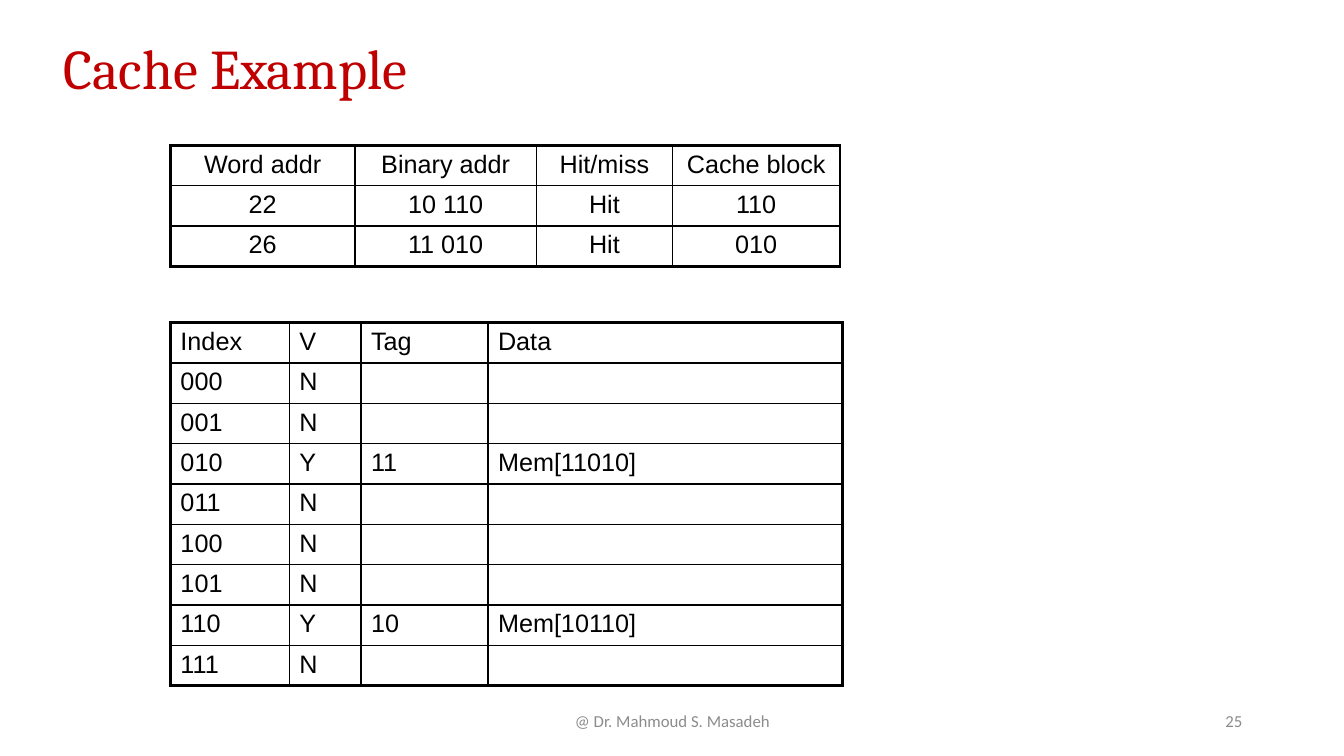
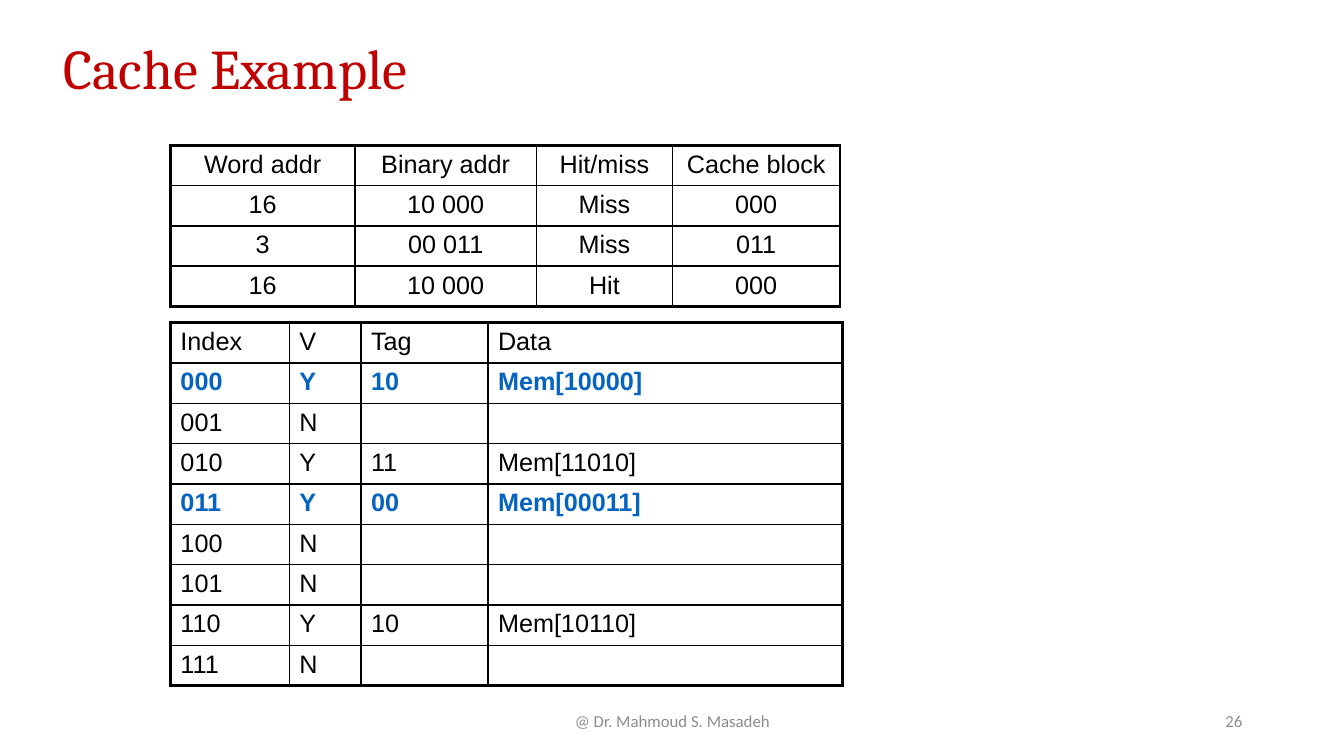
from dataclasses import dataclass

from lxml import etree
from pptx import Presentation
from pptx.dml.color import RGBColor
from pptx.enum.text import MSO_ANCHOR, PP_ALIGN
from pptx.oxml.ns import qn
from pptx.util import Inches, Pt

LEFT, CENTER, RIGHT = PP_ALIGN.LEFT, PP_ALIGN.CENTER, PP_ALIGN.RIGHT
MIDDLE = MSO_ANCHOR.MIDDLE


@dataclass(frozen=True)
class Theme:
    title: str = "C00000"
    footer: str = "8C8C8C"
    ink: str = "000000"
    accent: str = "0563C1"
    outer_pt: float = 2.25
    header_pt: float = 1.5
    inner_pt: float = 1


T = Theme()
TITLE = {"name": "Cambria", "size": Pt(40), "color": T.title}
FOOTER = {"name": "Calibri", "size": Pt(12), "color": T.footer}
BODY = {"name": "Arial", "size": Pt(18), "color": T.ink}
CHANGED = BODY | {"color": T.accent, "bold": True}


@dataclass(frozen=True)
class TableStyle:
    top: float
    widths: tuple[float, ...]
    header: tuple[str, ...]
    align: PP_ALIGN
    rule_pt: float
    left: float = 1.69
    row_height: float = 0.4


TRACE = TableStyle(1.44, (1.83, 1.8, 1.35, 1.66),
                   ("Word addr", "Binary addr", "Hit/miss", "Cache block"),
                   CENTER, T.header_pt)
CACHE = TableStyle(3.2, (1.18, 0.71, 1.26, 3.52),
                   ("Index", "V", "Tag", "Data"), LEFT, T.inner_pt)


@dataclass(frozen=True)
class Step:
    number: int
    accesses: tuple[tuple[int, str], ...]  # word address, result
    tags: dict[str, str]                   # valid blocks: index to tag
    changed: tuple[str, ...] = ()          # indexes filled in this step


START_TAGS = {"010": "11", "110": "10"}
STEPS = (
    Step(25, ((22, "Hit"), (26, "Hit")), START_TAGS),
    Step(26, ((16, "Miss"), (3, "Miss"), (16, "Hit")),
         START_TAGS | {"000": "10", "011": "00"}, ("000", "011")),
)


def write(p, text: str, fmt: dict, align: PP_ALIGN) -> None:
    p.alignment = align
    r = p.add_run()
    r.text = text
    for key, value in fmt.items():
        if key == "color":
            r.font.color.rgb = RGBColor.from_string(value)
        else:
            setattr(r.font, key, value)


def add_text(s, box: tuple[float, ...], text: str, fmt: dict,
             align: PP_ALIGN, spacing: float = 1.0) -> None:
    tf = s.shapes.add_textbox(*map(Inches, box)).text_frame
    tf.word_wrap = True
    tf.vertical_anchor = MIDDLE
    tf.paragraphs[0].line_spacing = spacing
    write(tf.paragraphs[0], text, fmt, align)


def set_borders(cell, widths: dict[str, float]) -> None:
    """Draw the cell's edges; they precede the fill in the cell properties."""
    tc_pr = cell._tc.get_or_add_tcPr()
    for i, (side, width) in enumerate(widths.items()):
        ln = etree.Element(qn(f"a:ln{side}"), w=str(Pt(width)))
        fill = etree.SubElement(ln, qn("a:solidFill"))
        etree.SubElement(fill, qn("a:srgbClr"), val=T.ink)
        tc_pr.insert(i, ln)


def add_grid(s, style: TableStyle, rows: list[tuple[str, ...]],
             changed: tuple[str, ...] = ()) -> None:
    rows = [style.header, *rows]
    n_rows, n_cols = len(rows), len(style.widths)
    box = (style.left, style.top, sum(style.widths), n_rows * style.row_height)
    table = s.shapes.add_table(n_rows, n_cols, *map(Inches, box)).table
    table.first_row = table.horz_banding = False
    for column, width in zip(table.columns, style.widths):
        column.width = Inches(width)

    # Line weights by position: outer frame, header rule, inner rules
    across = [T.outer_pt, T.header_pt, *[style.rule_pt] * (n_rows - 2), T.outer_pt]
    down = [T.outer_pt, *[T.inner_pt] * (n_cols - 1), T.outer_pt]
    for i, values in enumerate(rows):
        table.rows[i].height = Inches(style.row_height)
        fmt = CHANGED if values[0] in changed else BODY
        for j, value in enumerate(values):
            cell = table.cell(i, j)
            cell.fill.background()
            set_borders(cell, {"L": down[j], "R": down[j + 1],
                               "T": across[i], "B": across[i + 1]})
            p = cell.text_frame.paragraphs[0]
            p.font.size = BODY["size"]
            if value:
                write(p, value, fmt, style.align)


def trace_row(address: int, result: str) -> tuple[str, ...]:
    bits = f"{address:05b}"
    tag, index = bits[:2], bits[2:]
    return str(address), f"{tag} {index}", result, index


def cache_row(index: str, tags: dict[str, str]) -> tuple[str, ...]:
    if index not in tags:
        return index, "N", "", ""
    return index, "Y", tags[index], f"Mem[{tags[index]}{index}]"


def add_step(prs, step: Step) -> None:
    s = prs.slides.add_slide(prs.slide_layouts[6])
    # Title and footer
    add_text(s, (0.53, 0.4, 12.32, 0.62), "Cache Example", TITLE, LEFT, 0.9)
    add_text(s, (9.42, 6.95, 3, 0.4), str(step.number), FOOTER, RIGHT)
    add_text(s, (4.42, 6.95, 4.5, 0.4), "@ Dr. Mahmoud S. Masadeh", FOOTER, CENTER)
    # Cache contents, then the accesses
    add_grid(s, CACHE, [cache_row(f"{n:03b}", step.tags) for n in range(8)],
             step.changed)
    add_grid(s, TRACE, [trace_row(*access) for access in step.accesses])


def main() -> None:
    prs = Presentation()
    prs.slide_width, prs.slide_height = Inches(13.33), Inches(7.5)
    for step in STEPS:
        add_step(prs, step)
    prs.save("out.pptx")


if __name__ == "__main__":
    main()
